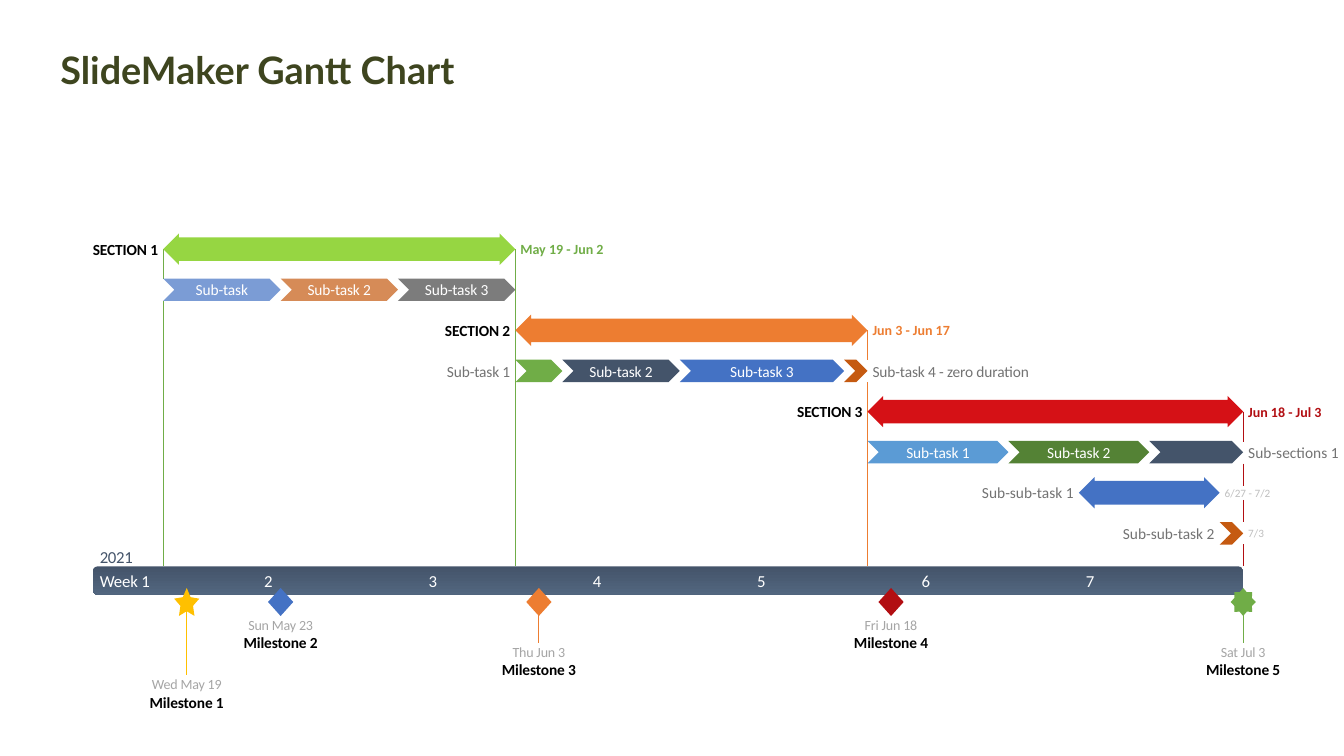
from dataclasses import dataclass
from typing import Optional

from lxml import etree
from pptx import Presentation
from pptx.dml.color import RGBColor
from pptx.enum import shapes, text
from pptx.oxml.ns import qn
from pptx.util import Pt

COLORS = {
    "white": "FFFFFF", "black": "000000", "olive": "3E451F", "slate": "44546A",
    "slate light": "52667F", "blue": "4472C4", "sky": "5B9BD5", "green": "70AD47",
    "dark green": "548235", "lime": "96D642", "orange": "ED7D31", "rust": "C55A11",
    "red": "D51116", "dark red": "B20E12", "gold": "FFC000", "gray": "7C7C7C",
    "label": "737373", "date": "A5A5A5", "faint": "BFBFBF",
}
SHAPE = shapes.MSO_SHAPE
ALIGN = text.PP_ALIGN

DAY_ZERO, DAY_WIDTH, LAST_DAY = 66.3, 16.77, 49
FIRST_ROW, ROW_PITCH = 178, 29
BAND_TOP, BAND_HEIGHT = 404.6, 20.2
CHEVRON_HEIGHT, ARROW_HEIGHT = 16, 22.4
LABEL_GAP = 3.6
MARKER_TOP, MARKER_WIDTH, MARKER_HEIGHT = 420, 18, 20


@dataclass
class Label:
    words: str
    width: float
    color: str = "label"
    size: float = 11
    bold: bool = False
    spacing: float = -0.1


@dataclass
class Bar:
    row: int
    start: int
    end: int
    color: str
    arrow: bool = False
    alpha: Optional[int] = None
    left: Optional[Label] = None
    inside: Optional[Label] = None
    right: Optional[Label] = None


@dataclass
class Milestone:
    name: str
    date: str
    date_width: float
    day: int
    marker: SHAPE
    color: str
    label_top: float


@dataclass
class DropLine:
    day: int
    color: str
    spans: list[tuple[float, float]]


def section(number: int, start: int, end: int, color: str, dates: str,
            date_color: str, date_width: float) -> Bar:
    return Bar(2 * (number - 1), start, end, color, arrow=True,
               left=Label(f"SECTION {number}", 48.2, "black", bold=True),
               right=Label(dates, date_width, date_color, 10, True, 0))


def task(number: int, color: str = "white") -> Label:
    return Label(f"Sub-task {number}", 46.8, color)


BARS = [
    Bar(7, 48, 49, "rust", left=Label("Sub-sub-task 2", 66.2, spacing=0),
        right=Label("7/3", 12.2, "faint", 8, spacing=0)),
    Bar(6, 42, 48, "blue", arrow=True, left=Label("Sub-sub-task 1", 66.2, spacing=0),
        right=Label("6/27 - 7/2", 33.1, "faint", 8, spacing=0)),
    Bar(5, 45, 49, "slate", right=Label("Sub-sections 1", 64.8, spacing=0)),
    Bar(5, 39, 45, "dark green", inside=task(2)),
    Bar(5, 33, 39, "sky", inside=task(1)),
    section(3, 33, 49, "red", "Jun 18 - Jul 3", "dark red", 53.3),
    Bar(3, 32, 33, "rust", right=Label("Sub-task 4 - zero duration", 115.2)),
    Bar(3, 25, 32, "blue", inside=task(3)),
    Bar(3, 20, 25, "slate", inside=task(2)),
    Bar(3, 18, 20, "green", left=task(1, "label")),
    section(2, 18, 33, "orange", "Jun 3 - Jun 17", "orange", 56.2),
    Bar(1, 13, 18, "gray", inside=task(3)),
    Bar(1, 8, 13, "rust", alpha=70, inside=task(2)),
    Bar(1, 3, 8, "blue", alpha=70, inside=Label("Sub-task", 38.9, "white")),
    section(1, 3, 18, "lime", "May 19 - Jun 2", "green", 59.8),
]

MILESTONES = [
    Milestone("Milestone 1", "Wed May 19", 51.8, 4, SHAPE.STAR_5_POINT, "gold", 482.4),
    Milestone("Milestone 2", "Sun May 23", 46.8, 8, SHAPE.DIAMOND, "blue", 440),
    Milestone("Milestone 3", "Thu Jun 3", 38.9, 19, SHAPE.DIAMOND, "orange", 459.4),
    Milestone("Milestone 4", "Fri Jun 18", 38.9, 34, SHAPE.DIAMOND, "dark red", 440),
    Milestone("Milestone 5", "Sat Jul 3", 33.1, 49, SHAPE.STAR_8_POINT, "green", 459.4),
]

DROP_LINES = [
    DropLine(49, "dark red", [(294, 315.4), (331.2, 347), (357.1, 373), (388.8, BAND_TOP)]),
    DropLine(33, "orange", [(236, 257), (273, BAND_TOP)]),
    DropLine(18, "green", [(178, BAND_TOP)]),
    DropLine(3, "green", [(178, 199), (215, BAND_TOP)]),
]

deck = Presentation()
deck.slide_width, deck.slide_height = Pt(960), Pt(540)
slide = deck.slides.add_slide(deck.slide_layouts[6])


def rgb(color: str) -> RGBColor:
    return RGBColor.from_string(COLORS[color])


def day_x(day: float) -> float:
    return DAY_ZERO + day * DAY_WIDTH


def add_figure(kind: SHAPE, left: float, top: float, width: float, height: float,
               color: str, alpha: Optional[int] = None):
    figure = slide.shapes.add_shape(kind, Pt(left), Pt(top), Pt(width), Pt(height))
    figure.shadow.inherit = False
    figure.line.fill.background()
    figure.fill.solid()
    figure.fill.fore_color.rgb = rgb(color)
    if alpha is not None:
        srgb = figure._element.spPr.find(".//" + qn("a:srgbClr"))
        etree.SubElement(srgb, qn("a:alpha")).set("val", str(alpha * 1000))
    return figure


def add_vertical(x: float, top: float, bottom: float, color: str) -> None:
    line = slide.shapes.add_connector(shapes.MSO_CONNECTOR.STRAIGHT,
                                      Pt(x), Pt(top), Pt(x), Pt(bottom))
    line.line.color.rgb = rgb(color)
    line.line.width = Pt(0.75)
    etree.SubElement(line._element.spPr, qn("a:effectLst"))


def add_label(label: Label, x: float, middle: float, align: ALIGN) -> None:
    """Place a label whose left end, centre or right end, by align, is at x."""
    shift = {ALIGN.LEFT: 0, ALIGN.CENTER: 0.5, ALIGN.RIGHT: 1}[align]
    height = label.size * 1.22
    box = slide.shapes.add_textbox(Pt(x - shift * label.width), Pt(middle - height / 2),
                                   Pt(label.width), Pt(height))
    frame = box.text_frame
    frame.margin_left = frame.margin_right = frame.margin_top = frame.margin_bottom = 0
    frame.word_wrap = False
    frame.vertical_anchor = text.MSO_ANCHOR.MIDDLE
    frame.text = label.words
    frame.paragraphs[0].alignment = align
    run = frame.paragraphs[0].runs[0]
    run.font.name, run.font.size, run.font.bold = "Calibri", Pt(label.size), label.bold
    run.font.color.rgb = rgb(label.color)
    if label.spacing:
        run._r.get_or_add_rPr().set("spc", str(round(label.spacing * 100)))


def add_bar(bar: Bar) -> None:
    left, right = day_x(bar.start), day_x(bar.end)
    middle = FIRST_ROW + bar.row * ROW_PITCH
    height = ARROW_HEIGHT if bar.arrow else CHEVRON_HEIGHT
    kind = SHAPE.LEFT_RIGHT_ARROW if bar.arrow else SHAPE.CHEVRON
    figure = add_figure(kind, left, middle - height / 2, right - left, height,
                        bar.color, bar.alpha)
    if bar.arrow:
        figure.adjustments[0] = 0.75
    for label, x, align in [(bar.left, left - LABEL_GAP, ALIGN.RIGHT),
                            (bar.inside, (left + right) / 2, ALIGN.CENTER),
                            (bar.right, right + LABEL_GAP, ALIGN.LEFT)]:
        if label:
            add_label(label, x, middle, align)


def add_milestone(milestone: Milestone) -> None:
    x = day_x(milestone.day)
    marker = add_figure(milestone.marker, x - MARKER_WIDTH / 2, MARKER_TOP,
                        MARKER_WIDTH, MARKER_HEIGHT, milestone.color)
    if milestone.marker == SHAPE.STAR_5_POINT:
        marker.adjustments[0] = 0.25
    add_label(Label(milestone.date, milestone.date_width, "date", 10),
              x, milestone.label_top + 6.1, ALIGN.CENTER)
    add_label(Label(milestone.name, 54, "black", bold=True),
              x, milestone.label_top + 19, ALIGN.CENTER)


def add_time_band() -> None:
    band = add_figure(SHAPE.ROUNDED_RECTANGLE, DAY_ZERO, BAND_TOP,
                      LAST_DAY * DAY_WIDTH, BAND_HEIGHT, "slate")
    band.fill.gradient()
    band.fill.gradient_angle = 270
    for stop, color in zip(band.fill.gradient_stops, ("slate", "slate light")):
        stop.color.rgb = rgb(color)
    for week in range(1, 8):
        label = (Label("Week 1", 36.7, "white", 12) if week == 1
                 else Label(str(week), 5.8, "white", 12, spacing=-0.3))
        add_label(label, day_x(7 * (week - 1)) + 5, 415, ALIGN.LEFT)
    add_label(Label("2021", 24.5, "slate", 12, spacing=-0.2), DAY_ZERO + 5, 397.4, ALIGN.LEFT)


def add_title(words: str) -> None:
    frame = slide.shapes.add_textbox(Pt(36), Pt(28.8), Pt(480), Pt(40.3)).text_frame
    frame.word_wrap = True
    frame.vertical_anchor = text.MSO_ANCHOR.BOTTOM
    frame.text = words
    font = frame.paragraphs[0].runs[0].font
    font.name, font.size, font.bold = "Lato", Pt(27), True
    font.color.rgb = rgb("olive")


for milestone in MILESTONES:
    if milestone.label_top > MARKER_TOP + MARKER_HEIGHT:
        add_vertical(day_x(milestone.day), 430, milestone.label_top, milestone.color)
for drop in DROP_LINES:
    for top, bottom in drop.spans:
        add_vertical(day_x(drop.day), top, bottom, drop.color)
add_time_band()
for bar in BARS:
    add_bar(bar)
for milestone in MILESTONES:
    add_milestone(milestone)
add_title("SlideMaker Gantt Chart")
deck.save("out.pptx")
